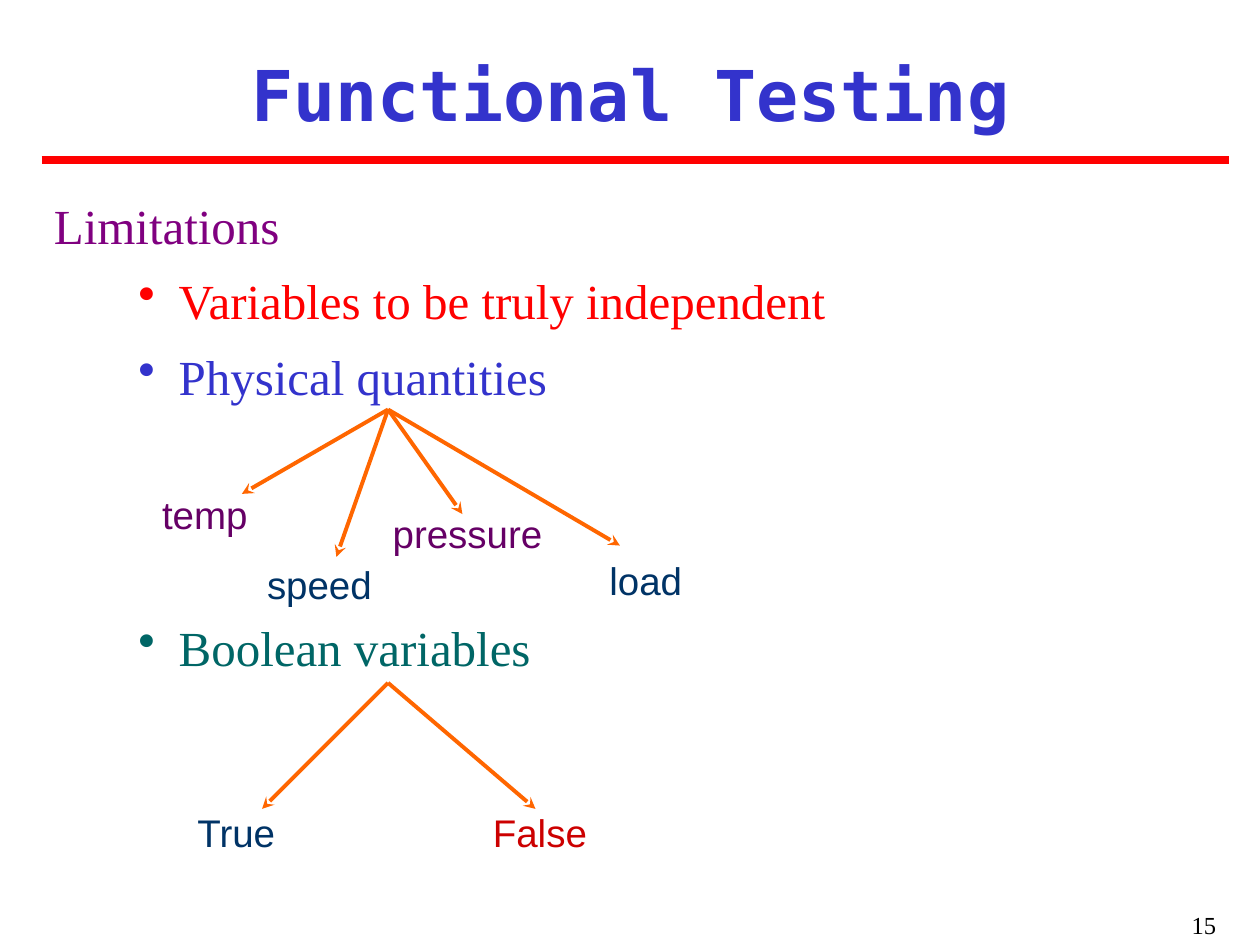
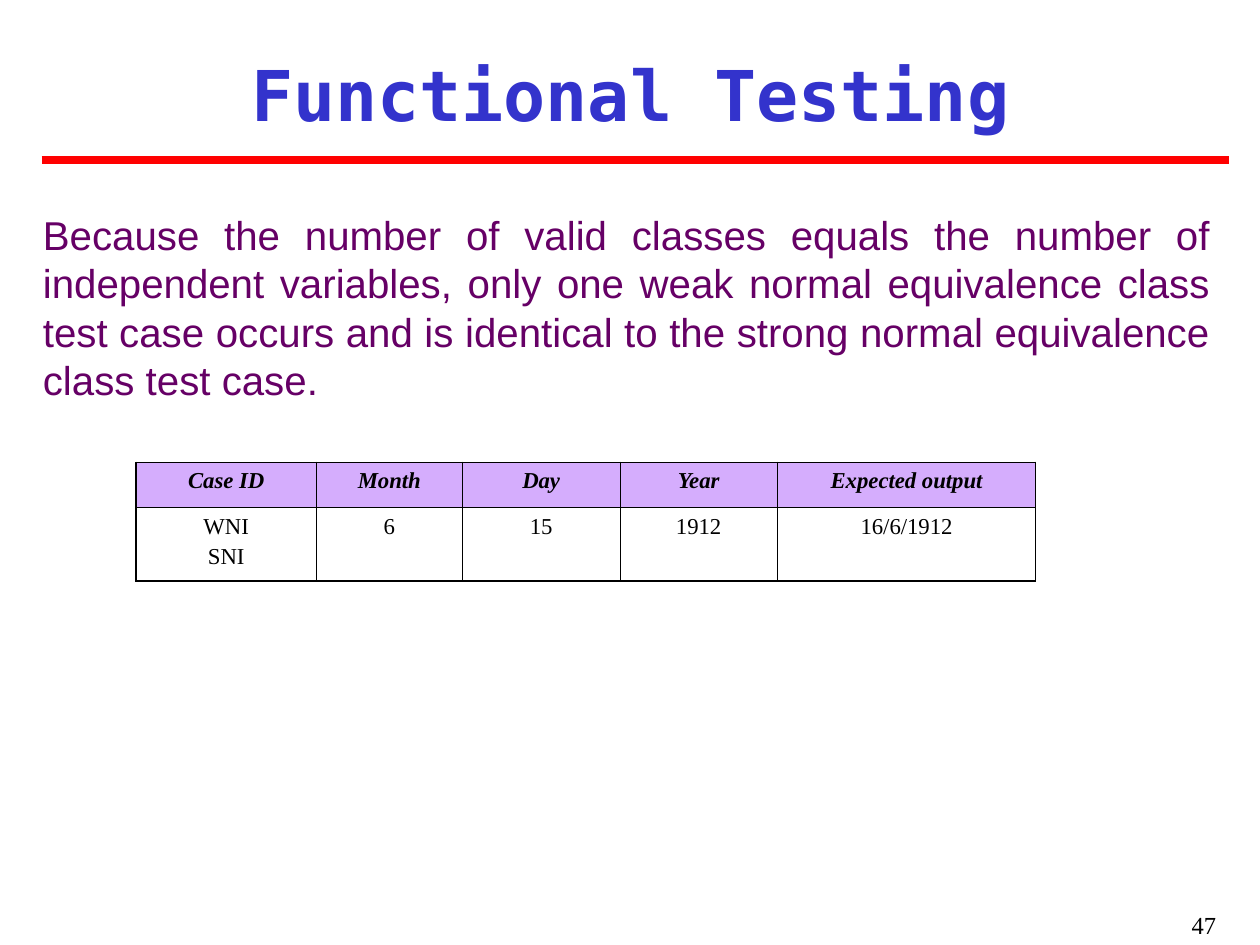
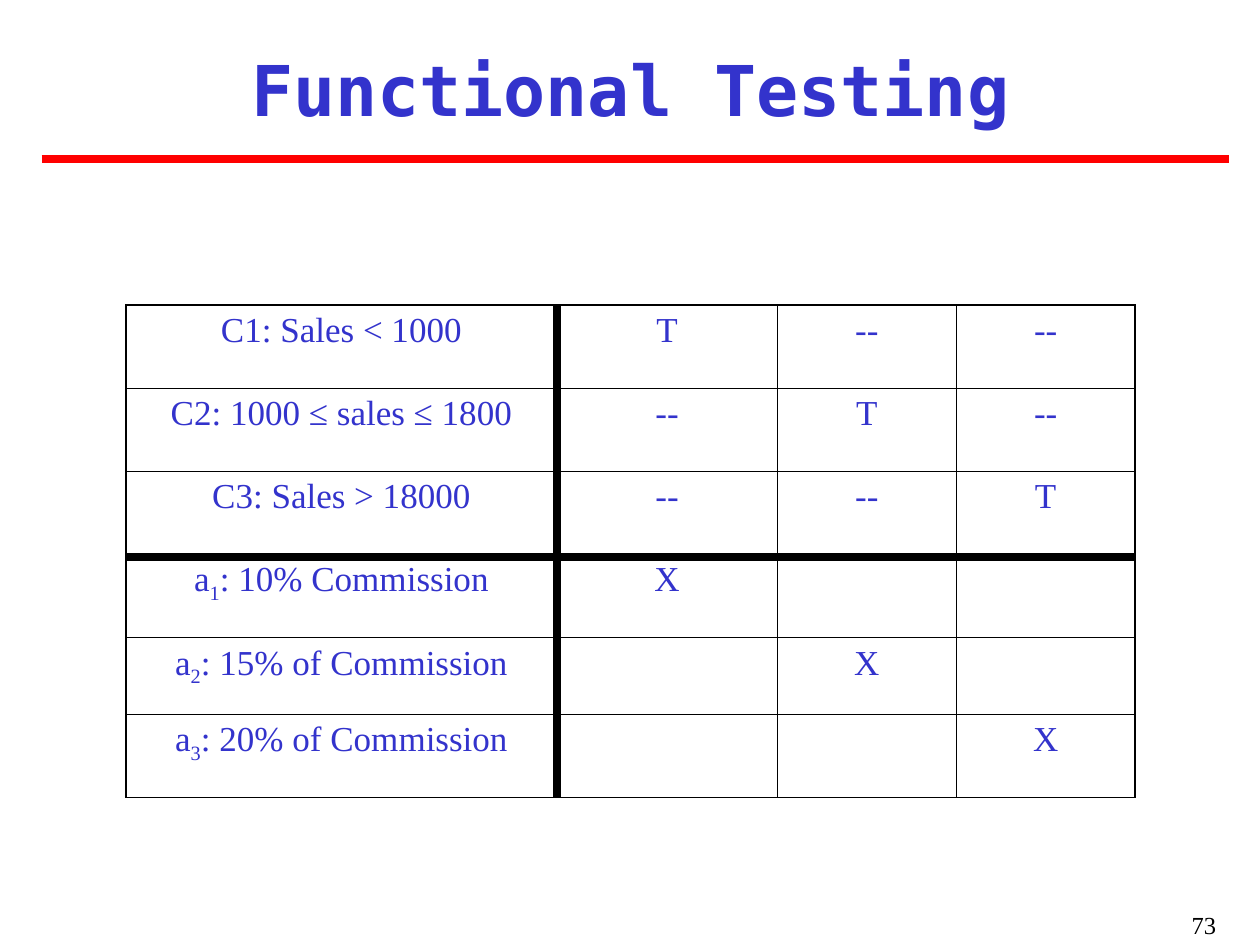
"""Build three Functional Testing slides: a limitations diagram and two tables."""
from dataclasses import dataclass

from lxml.etree import SubElement
from pptx import Presentation
from pptx.dml.color import RGBColor
from pptx.enum.shapes import MSO_CONNECTOR
from pptx.enum.text import MSO_ANCHOR, MSO_AUTO_SIZE, PP_ALIGN
from pptx.oxml.ns import qn
from pptx.slide import Slide
from pptx.table import _Cell
from pptx.text.text import TextFrame, _Paragraph
from pptx.util import Inches, Pt

COLORS = {
    "blue": "3333CC",
    "red": "FF0000",
    "violet": "800080",
    "plum": "660066",
    "teal": "006666",
    "navy": "003366",
    "crimson": "CC0000",
    "orange": "FF6600",
    "lilac": "D5ADFD",
    "black": "000000",
}
SERIF, SANS, MONO = "Times New Roman", "Arial", "DejaVu Sans Mono"
Point = tuple[float, float]


@dataclass(frozen=True)
class Style:
    font: str
    size: float
    color: str
    align: PP_ALIGN = PP_ALIGN.LEFT
    bold: bool = False
    italic: bool = False
    bullet: bool = False
    space_before: float = 0


@dataclass(frozen=True)
class Label:
    text: str
    left: float
    top: float
    width: float
    height: float
    style: Style
    inset_x: float = 0.1
    inset_y: float = 0.05
    anchor: MSO_ANCHOR = MSO_ANCHOR.TOP
    grows: bool = True


@dataclass(frozen=True)
class Line:
    start: Point
    end: Point
    color: str
    width: float
    arrow: bool = False


@dataclass(frozen=True)
class Grid:
    left: float
    top: float
    columns: list[float]
    rows: list[float]
    cells: list[list[str]]
    styles: list[Style]
    header_fill: str = ""


def rgb(name: str) -> RGBColor:
    """Return the named colour."""
    return RGBColor.from_string(COLORS[name])


def apply(target: object, values: dict[str, object]) -> None:
    """Set each attribute named in values."""
    for name, value in values.items():
        setattr(target, name, value)


def add_bullet(paragraph: _Paragraph, color: str) -> None:
    """Give the paragraph a coloured round bullet with a hanging indent."""
    properties = paragraph._p.get_or_add_pPr()
    properties.set("marL", str(Inches(0.82)))
    properties.set("indent", str(Inches(-0.32)))
    bullet_color = SubElement(properties, qn("a:buClr"))
    SubElement(bullet_color, qn("a:srgbClr"), val=COLORS[color])
    SubElement(properties, qn("a:buChar"), char="•")


def write_text(frame: TextFrame, text: str, style: Style) -> None:
    """Write one paragraph per line, with text between bars as subscript."""
    for index, content in enumerate(text.split("\n")):
        paragraph = frame.add_paragraph() if index else frame.paragraphs[0]
        paragraph.alignment = style.align
        if index:
            paragraph.space_before = Pt(style.space_before)
        if style.bullet:
            add_bullet(paragraph, style.color)
        for position, piece in enumerate(content.split("|")):
            run = paragraph.add_run()
            run.text = piece
            apply(run.font, {"name": style.font, "size": Pt(style.size),
                             "bold": style.bold, "italic": style.italic})
            run.font.color.rgb = rgb(style.color)
            if position % 2:
                run._r.get_or_add_rPr().set("baseline", "-25000")


def add_label(slide: Slide, label: Label) -> None:
    """Add a text box."""
    box = slide.shapes.add_textbox(Inches(label.left), Inches(label.top),
                                   Inches(label.width), Inches(label.height))
    apply(box.text_frame, {
        "word_wrap": True,
        "auto_size": MSO_AUTO_SIZE.SHAPE_TO_FIT_TEXT if label.grows else MSO_AUTO_SIZE.NONE,
        "vertical_anchor": label.anchor,
        "margin_left": Inches(label.inset_x),
        "margin_right": Inches(label.inset_x),
        "margin_top": Inches(label.inset_y),
        "margin_bottom": Inches(label.inset_y),
    })
    write_text(box.text_frame, label.text, label.style)


def add_line(slide: Slide, line: Line) -> None:
    """Add a straight line, with an arrowhead at its end if asked."""
    connector = slide.shapes.add_connector(
        MSO_CONNECTOR.STRAIGHT, *(Inches(value) for value in line.start + line.end))
    connector.line.color.rgb = rgb(line.color)
    connector.line.width = Pt(line.width)
    if line.arrow:
        SubElement(connector.line._get_or_add_ln(), qn("a:tailEnd"), type="stealth")
    SubElement(connector._element.spPr, qn("a:effectLst"))


def add_borders(cell: _Cell, outer_sides: dict[str, bool]) -> None:
    """Draw the cell borders, heavier on the outer edge of the table."""
    properties = cell._tc.get_or_add_tcPr()
    for side, is_outer in outer_sides.items():
        width = Pt(1.08 if is_outer else 0.45)
        border = SubElement(properties, qn(f"a:ln{side}"), w=str(width))
        fill = SubElement(border, qn("a:solidFill"))
        SubElement(fill, qn("a:srgbClr"), val=COLORS["black"])


def add_grid(slide: Slide, grid: Grid) -> None:
    """Add a table with a plain or filled first row."""
    last_row, last_column = len(grid.rows) - 1, len(grid.columns) - 1
    table = slide.shapes.add_table(
        len(grid.rows), len(grid.columns), Inches(grid.left), Inches(grid.top),
        Inches(sum(grid.columns)), Inches(sum(grid.rows))).table
    apply(table, {"first_row": False, "horz_banding": False})
    for column, width in zip(table.columns, grid.columns):
        column.width = Inches(width)
    for row_index, (row, height) in enumerate(zip(table.rows, grid.rows)):
        row.height = Inches(height)
        style = grid.styles[min(row_index, len(grid.styles) - 1)]
        for column_index, cell in enumerate(row.cells):
            add_borders(cell, {"L": column_index == 0, "R": column_index == last_column,
                               "T": row_index == 0, "B": row_index == last_row})
            if grid.header_fill and row_index == 0:
                cell.fill.solid()
                cell.fill.fore_color.rgb = rgb(grid.header_fill)
            else:
                cell.fill.background()
            text = grid.cells[row_index][column_index]
            if text:
                write_text(cell.text_frame, text, style)


def add_frame(slide: Slide, number: int, title_top: float = 0.33, rule_top: float = 1.27) -> None:
    """Add the shared title, red rule and page number."""
    add_line(slide, Line((0.33, rule_top), (9.75, rule_top), "red", 4.5))
    add_label(slide, Label("Functional Testing", 0.25, title_top, 9.5, 0.83,
                           Style(MONO, 40, "blue", PP_ALIGN.CENTER, bold=True),
                           inset_x=0.02, anchor=MSO_ANCHOR.MIDDLE, grows=False))
    add_label(slide, Label(str(number), 7.67, 7.17, 2.08, 0.33,
                           Style(SERIF, 14, "black", PP_ALIGN.RIGHT), grows=False))


def build_limitations(slide: Slide) -> None:
    """Build the limitations slide with its two arrow fans."""
    add_frame(slide, 15)
    add_label(slide, Label("Limitations", 0.33, 1.5, 9.42, 0.57, Style(SERIF, 28, "violet")))
    for text, top, color in [("Variables to be truly independent", 2.1, "red"),
                             ("Physical quantities", 2.7, "blue"),
                             ("Boolean variables", 4.85, "teal")]:
        add_label(slide, Label(text, 0.5, top, 7.92, 0.57, Style(SERIF, 28, color, bullet=True)))
    fans = {
        (3.08, 3.25): [(1.92, 3.92), (2.67, 4.42), (3.67, 4.08), (4.92, 4.33)],
        (3.08, 5.42): [(2.08, 6.42), (4.25, 6.42)],
    }
    for start, ends in fans.items():
        for end in ends:
            add_line(slide, Line(start, end, "orange", 2.25, arrow=True))
    for text, left, top, width, color in [("temp", 1.17, 3.9, 0.91, "plum"),
                                          ("speed", 2.08, 4.45, 0.91, "navy"),
                                          ("pressure", 3, 4.05, 1.42, "plum"),
                                          ("load", 4.67, 4.42, 0.91, "navy"),
                                          ("True", 1.42, 6.42, 0.91, "navy"),
                                          ("False", 3.83, 6.42, 0.91, "crimson")]:
        add_label(slide, Label(text, left, top, width, 0.37,
                               Style(SANS, 22, color, PP_ALIGN.CENTER), inset_x=0, inset_y=0))


def build_test_case(slide: Slide) -> None:
    """Build the slide with the weak and strong normal test case."""
    add_frame(slide, 47)
    explanation = (
        "Because the number of valid classes equals the number of independent variables, "
        "only one weak normal equivalence class test case occurs and is identical to the "
        "strong normal equivalence class test case.")
    add_label(slide, Label(explanation, 0.34, 1.67, 9.28, 1.53,
                           Style(SANS, 23, "plum", PP_ALIGN.JUSTIFY), inset_x=0, inset_y=0))
    add_grid(slide, Grid(
        1.08, 3.67, [1.43, 1.16, 1.25, 1.25, 2.05], [0.36, 0.48],
        [["Case ID", "Month", "Day", "Year", "Expected output"],
         ["WNI\nSNI", "6", "15", "1912", "16/6/1912"]],
        [Style(SERIF, 13, "black", PP_ALIGN.CENTER, bold=True, italic=True),
         Style(SERIF, 13, "black", PP_ALIGN.CENTER, space_before=3.3)],
        header_fill="lilac"))


def build_decision_table(slide: Slide) -> None:
    """Build the commission decision table slide."""
    left, top, right, bottom = 1, 2.42, 9, 6.33
    add_grid(slide, Grid(
        left, top, [3.42, 1.75, 1.42, 1.42], [0.66, 0.66, 0.66, 0.66, 0.61, 0.66],
        [["C1: Sales < 1000", "T", "--", "--"],
         ["C2: 1000 ≤ sales ≤ 1800", "--", "T", "--"],
         ["C3: Sales > 18000", "--", "--", "T"],
         ["a|1|: 10% Commission", "X", "", ""],
         ["a|2|: 15% of Commission", "", "X", ""],
         ["a|3|: 20% of Commission", "", "", "X"]],
        [Style(SERIF, 20, "blue", PP_ALIGN.CENTER)]))
    add_line(slide, Line((left, 4.42), (right, 4.42), "black", 4.5))
    add_line(slide, Line((4.42, top), (4.42, bottom), "black", 4.5))
    add_frame(slide, 73, title_top=0.29, rule_top=1.26)


def main() -> None:
    """Build and save the presentation."""
    presentation = Presentation()
    apply(presentation, {"slide_width": Inches(10), "slide_height": Inches(7.5)})
    for build in (build_limitations, build_test_case, build_decision_table):
        build(presentation.slides.add_slide(presentation.slide_layouts[6]))
    presentation.save("out.pptx")


if __name__ == "__main__":
    main()
